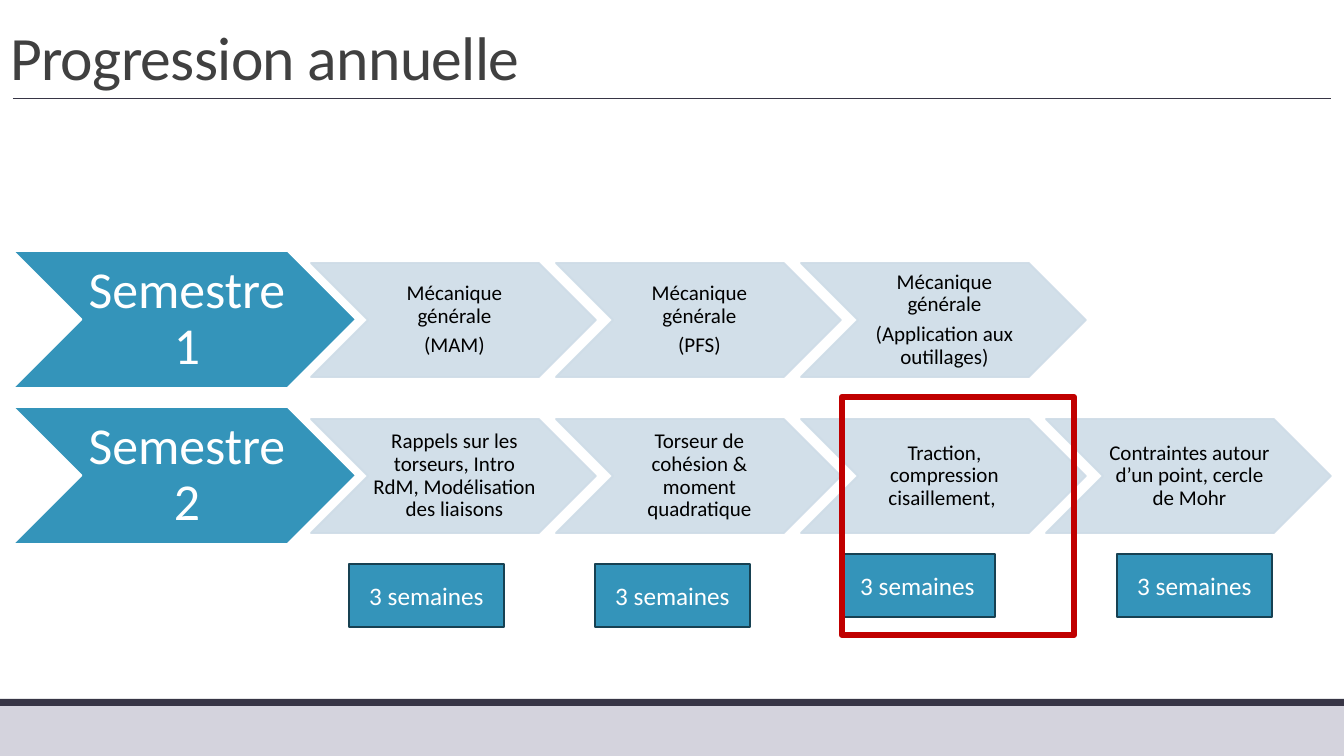
from lxml import etree
from pptx import Presentation
from pptx.dml.color import RGBColor
from pptx.enum.shapes import MSO_CONNECTOR, MSO_SHAPE
from pptx.enum.text import MSO_ANCHOR, MSO_AUTO_SIZE, PP_ALIGN
from pptx.oxml.ns import qn
from pptx.util import Emu, Pt

WHITE, BLACK, GREY = "FFFFFF", "000000", "404040"
TEAL, TEAL_DARK, PALE = "3494BA", "174152", "CEDCE7"
INK, LILAC, RED = "373545", "D4D3DD", "C00000"

TOPICS = [
    [["Mécanique générale", "(MAM)"],
     ["Mécanique générale", "(PFS)"],
     ["Mécanique générale", "(Application aux outillages)"]],
    [["Rappels sur les torseurs, Intro RdM, Modélisation des liaisons"],
     ["Torseur de cohésion & moment quadratique"],
     ["Traction, compression cisaillement, "],
     ["Contraintes autour d’un point, cercle de Mohr"]],
]
DURATIONS = [(349, 564), (595, 564), (840, 554), (1117, 554)]


def px(n):
    return Emu(round(n * 914400 / 100.8))


def rgb(value):
    return RGBColor.from_string(value)


class Deck:
    """Draws the elements of a slide in one style, with lengths in px."""

    font = "Calibri"

    def __init__(self, width, height):
        self.prs = Presentation()
        self.prs.slide_width, self.prs.slide_height = px(width), px(height)
        self.s = self.prs.slides.add_slide(self.prs.slide_layouts[5])

    def fill_text(self, tf, lines, size, color, frame, para):
        for name, value in frame.items():
            setattr(tf, name, value)
        for i, line in enumerate(lines):
            p = tf.paragraphs[0] if i == 0 else tf.add_paragraph()
            for name, value in para.items():
                setattr(p, name, value)
            if i:
                p.space_before = Pt(5)
            r = p.add_run()
            r.text = line
            for name, value in {"name": self.font, "size": Pt(size)}.items():
                setattr(r.font, name, value)
            r.font.color.rgb = rgb(color)

    def title(self, text, box, size, color):
        sp = self.s.shapes.title
        sp.left, sp.top, sp.width, sp.height = map(px, box)
        frame = {"vertical_anchor": MSO_ANCHOR.BOTTOM, "word_wrap": True,
                 "auto_size": MSO_AUTO_SIZE.NONE}
        para = {"alignment": PP_ALIGN.LEFT, "line_spacing": 0.85}
        self.fill_text(sp.text_frame, [text], size, color, frame, para)
        r = sp.text_frame.paragraphs[0].runs[0]
        r._r.get_or_add_rPr().set("spc", "-50")

    def shape(self, kind, box, fill=None, line=None, weight=1.25, alpha=None):
        sp = self.s.shapes.add_shape(kind, *map(px, box))
        sp.shadow.inherit = False
        if fill:
            sp.fill.solid()
            sp.fill.fore_color.rgb = rgb(fill)
        else:
            sp.fill.background()
        if line:
            sp.line.color.rgb = rgb(line)
            sp.line.width = Pt(weight)
        else:
            sp.line.fill.background()
        if alpha:
            for clr in sp._element.spPr.iter(qn("a:srgbClr")):
                etree.SubElement(clr, qn("a:alpha")).set("val", str(alpha * 1000))
        return sp

    def chevron(self, box, lines, size, color, fill, line, inset, alpha=None):
        sp = self.shape(MSO_SHAPE.CHEVRON, box, fill, line, alpha=alpha)
        left, edge = map(px, inset)
        frame = {"vertical_anchor": MSO_ANCHOR.MIDDLE, "word_wrap": True,
                 "margin_left": left, "margin_right": 0,
                 "margin_top": edge, "margin_bottom": edge}
        para = {"alignment": PP_ALIGN.CENTER, "line_spacing": 0.9}
        self.fill_text(sp.text_frame, lines, size, color, frame, para)

    def label(self, box, text):
        sp = self.shape(MSO_SHAPE.RECTANGLE, box, TEAL, TEAL_DARK)
        frame = {"vertical_anchor": MSO_ANCHOR.MIDDLE, "word_wrap": True}
        self.fill_text(sp.text_frame, [text], 18, WHITE, frame,
                       {"alignment": PP_ALIGN.CENTER})

    def rule(self, x1, y1, x2, y2, color, weight):
        sp = self.s.shapes.add_connector(
            MSO_CONNECTOR.STRAIGHT, *map(px, (x1, y1, x2, y2)))
        sp.line.color.rgb = rgb(color)
        sp.line.width = Pt(weight)
        etree.SubElement(sp._element.spPr, qn("a:effectLst"))


def main():
    deck = Deck(1344, 756)
    deck.shape(MSO_SHAPE.RECTANGLE, (0, 706, 1344, 50), LILAC)
    deck.shape(MSO_SHAPE.RECTANGLE, (0, 699, 1344, 7), INK)
    deck.rule(13, 98, 1331, 98, INK, 0.5)
    deck.title("Progression annuelle", (0, 0, 1344, 98), 44, GREY)

    for row, topics in enumerate(TOPICS):
        top = 251 + 156 * row
        deck.chevron((13, top, 343, 137), [f"Semestre {row + 1}"],
                     37, WHITE, TEAL, WHITE, (5, 3))
        for col, lines in enumerate(topics):
            deck.chevron((311 + 245 * col, top + 12, 285, 114), lines,
                         15, BLACK, PALE, PALE, (2, 1), alpha=90)

    for x, y in DURATIONS:
        deck.label((x, y, 155, 63), "3 semaines")
    deck.shape(MSO_SHAPE.RECTANGLE, (842, 397, 232, 238), None, RED, 4.5)
    deck.prs.save("out.pptx")


if __name__ == "__main__":
    main()
